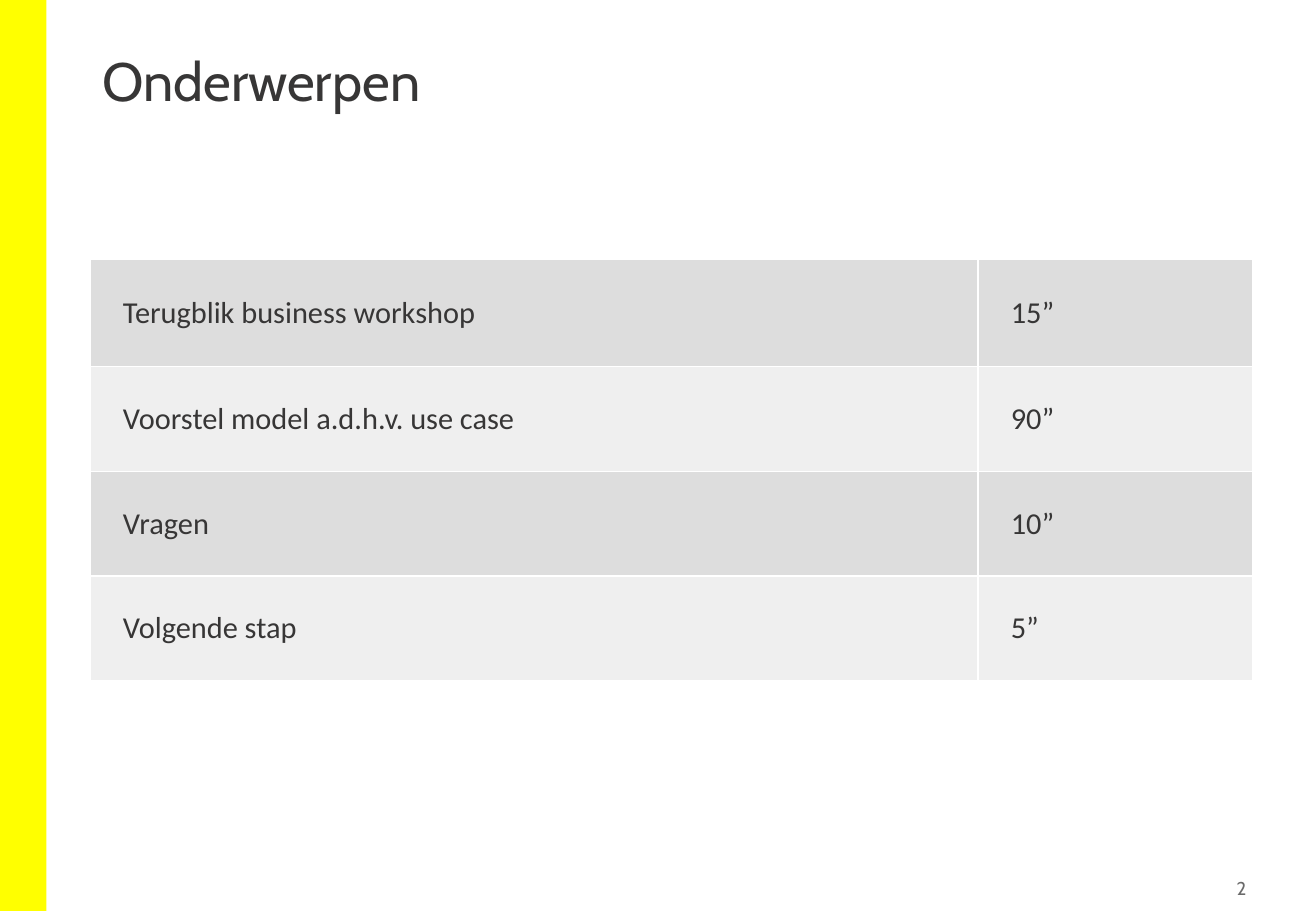
"""Build the agenda slide with its topics and durations."""
from lxml.etree import SubElement
from pptx import Presentation
from pptx.dml.color import RGBColor
from pptx.enum.shapes import MSO_SHAPE
from pptx.enum.text import MSO_ANCHOR, PP_ALIGN
from pptx.oxml.ns import qn
from pptx.util import Pt

COLORS = {
    "accent": "FFFF00",
    "text": "373636",
    "number": "6B6B6B",
    "dark_row": "DDDDDD",
    "light_row": "EFEFEF",
    "border": "FFFFFF",
}
TOPICS = [
    ("Terugblik business workshop", "15”"),
    ("Voorstel model a.d.h.v. use case", "90”"),
    ("Vragen", "10”"),
    ("Volgende stap", "5”"),
]
COLUMN_WIDTHS = [526.3, 162.7]
ROW_HEIGHTS = [63.8, 62, 62, 62]


def write_text(text_frame, text, font_name, size, color):
    text_frame.text = text
    text_frame.word_wrap = True
    paragraph = text_frame.paragraphs[0]
    font = paragraph.runs[0].font
    font.name = font_name
    font.size = Pt(size)
    font.color.rgb = RGBColor.from_string(COLORS[color])
    return paragraph


def add_borders(cell):
    properties = cell._tc.get_or_add_tcPr()
    for position, side in enumerate(("a:lnL", "a:lnR", "a:lnT", "a:lnB")):
        line = properties.makeelement(qn(side), {"w": str(Pt(1))})
        fill = SubElement(line, qn("a:solidFill"))
        SubElement(fill, qn("a:srgbClr"), val=COLORS["border"])
        properties.insert(position, line)


presentation = Presentation()
presentation.slide_width = Pt(780)
presentation.slide_height = Pt(540)
slide = presentation.slides.add_slide(presentation.slide_layouts[6])

side_bar = slide.shapes.add_shape(MSO_SHAPE.RECTANGLE, Pt(0), Pt(0), Pt(27.5), Pt(540))
side_bar.shadow.inherit = False
side_bar.fill.solid()
side_bar.fill.fore_color.rgb = RGBColor.from_string(COLORS["accent"])
side_bar.line.fill.background()

title = slide.shapes.add_textbox(Pt(53.5), Pt(28.8), Pt(672.5), Pt(77.8))
paragraph = write_text(title.text_frame, "Onderwerpen", "Cabin", 32, "text")
paragraph.line_spacing = 0.9

page_number = slide.shapes.add_textbox(Pt(684), Pt(516.2), Pt(58.3), Pt(20.9))
frame = page_number.text_frame
frame.vertical_anchor = MSO_ANCHOR.MIDDLE
frame.margin_left = frame.margin_right = Pt(3.6)
frame.margin_top = frame.margin_bottom = Pt(3.6)
paragraph = write_text(frame, "2", "Cabin", 11, "number")
paragraph.alignment = PP_ALIGN.RIGHT

table = slide.shapes.add_table(
    len(TOPICS), len(COLUMN_WIDTHS), Pt(53.5), Pt(153.6),
    Pt(sum(COLUMN_WIDTHS)), Pt(sum(ROW_HEIGHTS)),
).table
table.first_row = False
table.horz_banding = False
for column, width in zip(table.columns, COLUMN_WIDTHS):
    column.width = Pt(width)

for row_index, (topic, height) in enumerate(zip(TOPICS, ROW_HEIGHTS)):
    table.rows[row_index].height = Pt(height)
    row_color = "light_row" if row_index % 2 else "dark_row"
    for column_index, text in enumerate(topic):
        cell = table.cell(row_index, column_index)
        cell.fill.solid()
        cell.fill.fore_color.rgb = RGBColor.from_string(COLORS[row_color])
        cell.vertical_anchor = MSO_ANCHOR.MIDDLE
        cell.margin_left = Pt(19.4)
        write_text(cell.text_frame, text, "Calibri", 18, "text")
        add_borders(cell)

presentation.save("out.pptx")
